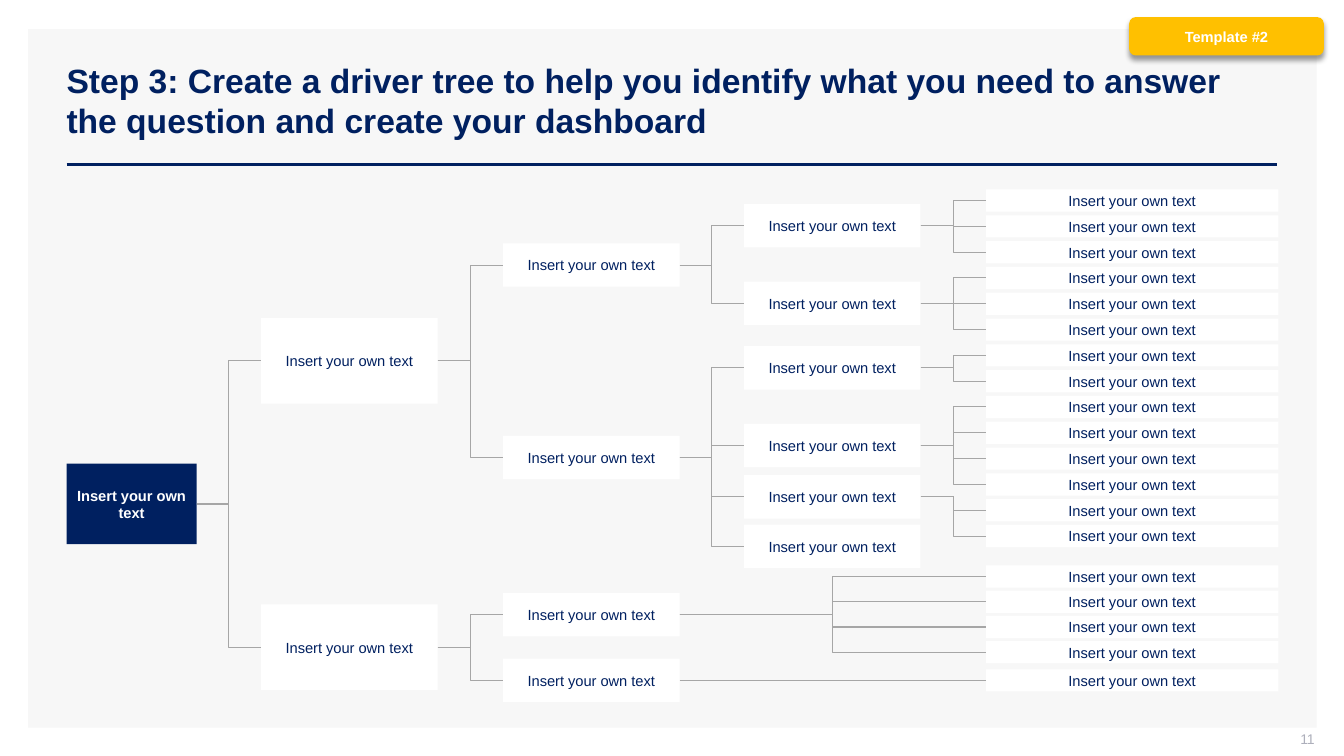
from dataclasses import dataclass

from lxml import etree
from pptx import Presentation
from pptx.dml.color import RGBColor
from pptx.enum.shapes import MSO_CONNECTOR, MSO_SHAPE
from pptx.enum.text import MSO_ANCHOR, MSO_AUTO_SIZE, PP_ALIGN
from pptx.oxml import parse_xml
from pptx.oxml.ns import nsdecls, qn
from pptx.shapes.autoshape import Shape
from pptx.shapes.connector import Connector
from pptx.slide import Slide
from pptx.util import Inches, Pt

RECT, ROUNDED = MSO_SHAPE.RECTANGLE, MSO_SHAPE.ROUNDED_RECTANGLE
STRAIGHT, ELBOW = MSO_CONNECTOR.STRAIGHT, MSO_CONNECTOR.ELBOW
LEFT, CENTER, RIGHT = PP_ALIGN.LEFT, PP_ALIGN.CENTER, PP_ALIGN.RIGHT
MIDDLE = MSO_ANCHOR.MIDDLE
NO_AUTOFIT = MSO_AUTO_SIZE.NONE
TITLE_ONLY = 5
LEFT_SITE, RIGHT_SITE = 1, 3


@dataclass(frozen=True)
class Theme:
    font: str = "Arial"
    navy: str = "002060"
    white: str = "FFFFFF"
    panel: str = "F7F7F7"
    branch: str = "A6A6A6"
    amber: str = "FFC000"
    page_grey: str = "ADAFBB"
    title_size: float = 24
    body_size: float = 10.5
    page_size: float = 10


@dataclass(frozen=True)
class Column:
    left: float
    width: float
    height: float


@dataclass(frozen=True)
class Driver:
    column: Column
    middle: float
    children: tuple["Driver", ...] = ()
    text: str = "Insert your own text"


THEME = Theme()
BADGE_SHADOW = (
    f'<a:outerShdw {nsdecls("a")} blurRad="{Pt(4)}" dist="{Pt(3)}" dir="5400000" '
    'algn="t" rotWithShape="0"><a:srgbClr val="000000"><a:alpha val="40000"/>'
    "</a:srgbClr></a:outerShdw>"
)

# Columns of the driver tree, from the question to the metrics
QUESTION = Column(0.66, 1.29, 0.8)
THEMES = Column(2.59, 1.75, 0.85)
DRIVERS = Column(4.99, 1.75, 0.43)
SUBDRIVERS = Column(7.38, 1.75, 0.43)
METRICS = Column(9.78, 2.9, 0.22)


def metrics(first: float, count: int, step: float = 0.256) -> tuple[Driver, ...]:
    return tuple(Driver(METRICS, first + i * step) for i in range(count))


UPPER = metrics(1.99, 14)
LOWER = metrics(5.72, 4, 0.25)

TREE = Driver(QUESTION, 5.0, (
    Driver(THEMES, 3.58, (
        Driver(DRIVERS, 2.63, (
            Driver(SUBDRIVERS, 2.24, UPPER[:3]),
            Driver(SUBDRIVERS, 3.01, UPPER[3:6]),
        )),
        Driver(DRIVERS, 4.54, (
            Driver(SUBDRIVERS, 3.65, UPPER[6:8]),
            Driver(SUBDRIVERS, 4.42, UPPER[8:12]),
            Driver(SUBDRIVERS, 4.93, UPPER[12:]),
            Driver(SUBDRIVERS, 5.42),
        )),
    )),
    Driver(THEMES, 6.42, (
        Driver(DRIVERS, 6.1, LOWER),
        Driver(DRIVERS, 6.75, metrics(6.75, 1)),
    )),
))


def write(shape: Shape, text: str, *, size: float = THEME.body_size,
          color: str = THEME.navy, bold: bool = False, align: PP_ALIGN = CENTER,
          insets: tuple[float, float, float, float] = (0.02, 0.02, 0.02, 0.02)) -> None:
    frame = shape.text_frame
    frame.word_wrap = True
    frame.auto_size = NO_AUTOFIT
    frame.vertical_anchor = MIDDLE
    (frame.margin_left, frame.margin_top,
     frame.margin_right, frame.margin_bottom) = map(Inches, insets)
    paragraph = frame.paragraphs[0]
    paragraph.alignment = align
    run = paragraph.add_run()
    run.text = text
    run.font.name = THEME.font
    run.font.size = Pt(size)
    run.font.bold = bold
    run.font.color.rgb = RGBColor.from_string(color)


def add_box(slide: Slide, left: float, top: float, width: float, height: float,
            fill: str, kind: MSO_SHAPE = RECT) -> Shape:
    box = slide.shapes.add_shape(
        kind, Inches(left), Inches(top), Inches(width), Inches(height))
    box.shadow.inherit = False
    box.fill.solid()
    box.fill.fore_color.rgb = RGBColor.from_string(fill)
    box.line.fill.background()
    return box


def add_line(slide: Slide, start: tuple[float, float], end: tuple[float, float],
             color: str, width: float, kind: MSO_CONNECTOR = STRAIGHT) -> Connector:
    line = slide.shapes.add_connector(kind, *map(Inches, (*start, *end)))
    line.line.color.rgb = RGBColor.from_string(color)
    line.line.width = Pt(width)
    etree.SubElement(line.element.spPr, qn("a:effectLst"))
    return line


def draw_driver(slide: Slide, driver: Driver) -> Shape:
    column = driver.column
    is_question = column is QUESTION
    box = add_box(slide, column.left, driver.middle - column.height / 2,
                  column.width, column.height,
                  THEME.navy if is_question else THEME.white)
    write(box, driver.text, bold=is_question,
          color=THEME.white if is_question else THEME.navy)
    for child in driver.children:
        child_box = draw_driver(slide, child)
        branch = add_line(
            slide, (column.left + column.width, driver.middle),
            (child.column.left, child.middle), THEME.branch, 0.75,
            STRAIGHT if child.middle == driver.middle else ELBOW)
        branch.begin_connect(box, RIGHT_SITE)
        branch.end_connect(child_box, LEFT_SITE)
    return box


def main() -> None:
    deck = Presentation()
    deck.slide_width, deck.slide_height = Inches(13.33), Inches(7.5)
    slide = deck.slides.add_slide(deck.slide_layouts[TITLE_ONLY])

    # Title on its panel, with the rule below
    title = slide.shapes.title
    title.left, title.top = Inches(0.56), Inches(0.4)
    title.width, title.height = Inches(12.11), Inches(1.19)
    write(title, "Step 3: Create a driver tree to help you identify what you need "
          "to answer the question and create your dashboard",
          size=THEME.title_size, bold=True, align=LEFT, insets=(0.1, 0.05, 0.1, 0.05))
    panel = add_box(slide, 0.28, 0.29, 12.78, 6.93, THEME.panel)
    title.element.addprevious(panel.element)
    add_line(slide, (0.66, 1.63), (12.67, 1.63), THEME.navy, 2)

    # Driver tree
    draw_driver(slide, TREE)

    # Template badge
    badge = add_box(slide, 11.2, 0.17, 1.93, 0.38, THEME.amber, ROUNDED)
    badge.element.spPr.find(qn("a:effectLst")).append(parse_xml(BADGE_SHADOW))
    write(badge, "Template #2", color=THEME.white, bold=True,
          insets=(0.1, 0.05, 0.1, 0.05))

    # Page number
    page = slide.shapes.add_textbox(
        Inches(10.04), Inches(7.25), Inches(3), Inches(0.21))
    write(page, "11", size=THEME.page_size, color=THEME.page_grey, align=RIGHT,
          insets=(0.1, 0, 0, 0.05))

    deck.save("out.pptx")


if __name__ == "__main__":
    main()
